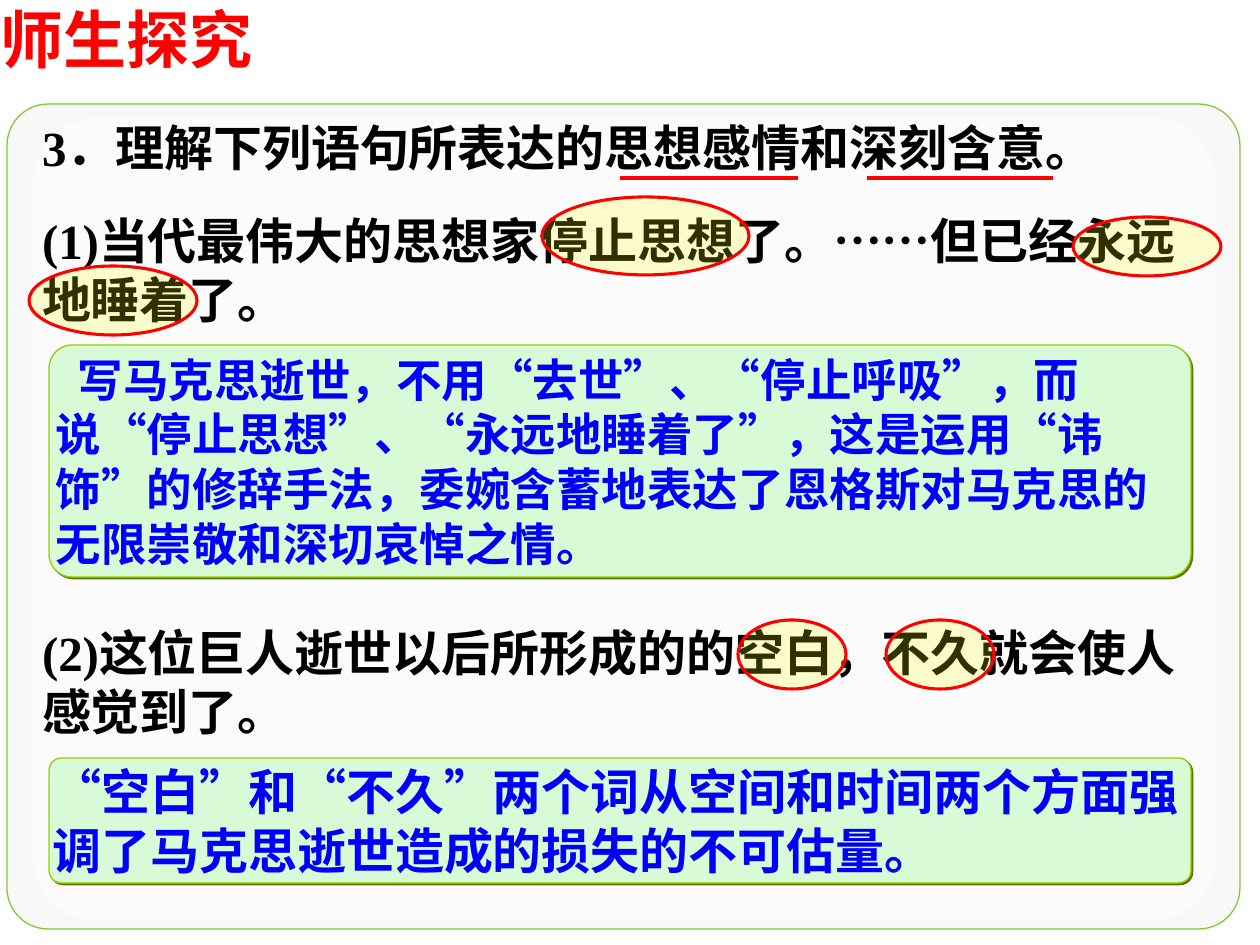
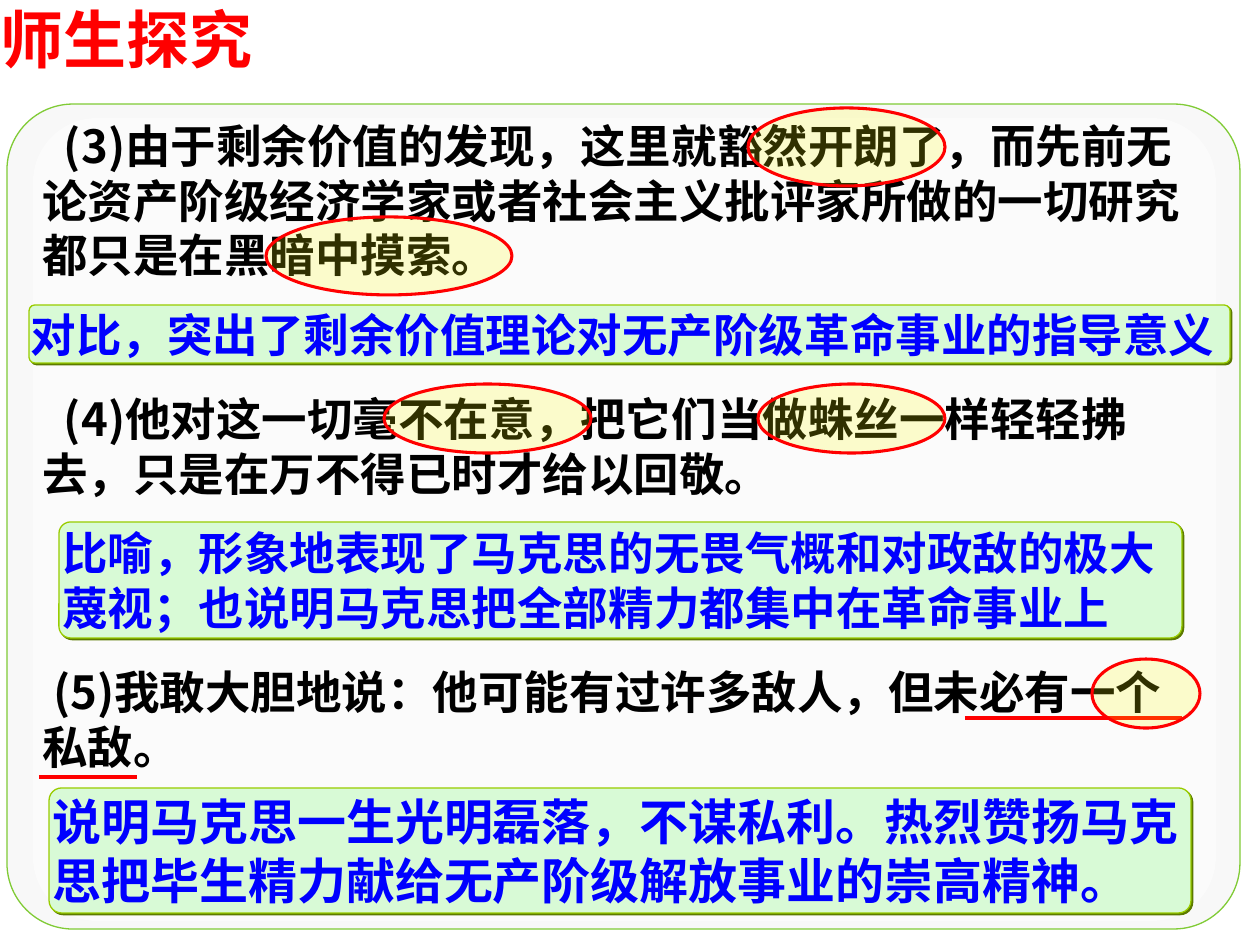
from dataclasses import dataclass

from lxml import etree
from pptx import Presentation
from pptx import util as u
from pptx.dml.color import RGBColor
from pptx.enum import lang, shapes, text
from pptx.oxml import ns

PX = u.Inches(1) / 126


@dataclass(frozen=True)
class Theme:
    """Colours, fonts and type sizes of both slides."""
    red: str = "FF0000"
    black: str = "000000"
    blue: str = "0000FF"
    panel: str = "F8F8F8"
    panel_line: str = "80CB35"
    panel_glow: str = "FFFFFF"
    answer: str = "D8FAD6"
    answer_line: str = "99CC00"
    answer_shadow: str = "5C7A00"
    text_shadow: str = "808080"
    marker: str = "FFFF00"
    sans: str = "Arial"
    serif: str = "Times New Roman"
    chinese: str = "Noto Sans CJK SC"
    title_size: int = 36
    large: int = 28
    medium: int = 26
    leading: float = 1.2


THEME = Theme()


def px(length):
    """Turn pixels into EMU."""
    return u.Emu(round(length * PX))


def apply_format(target, values):
    """Set each attribute in values on target."""
    for name, value in values.items():
        setattr(target, name, value)


def add_element(parent, tag, **attributes):
    """Append a drawing element to parent."""
    return etree.SubElement(parent, ns.qn(tag), attributes)


def add_shadow(effects, color, distance):
    """Give an effect list a sharp shadow to the lower right."""
    shadow = add_element(effects, "a:outerShdw", blurRad="0",
                         dist=str(u.Pt(distance)), dir="2700000", algn="tl")
    add_element(shadow, "a:srgbClr", val=color)


def place(shape, box):
    """Move and size a shape by its pixel box."""
    apply_format(shape, dict(zip(("left", "top", "width", "height"), map(px, box))))


def setup_frame(frame, anchor, margins=(0, 0)):
    """Set wrapping, anchor and the side and end margins of a text frame."""
    side, end = map(px, margins)
    apply_format(frame, {
        "word_wrap": True, "auto_size": text.MSO_AUTO_SIZE.NONE,
        "vertical_anchor": anchor, "margin_left": side, "margin_right": side,
        "margin_top": end, "margin_bottom": end})


def write_paragraph(paragraph, runs, size, color, indent=0, gap=0, shadow=False):
    """Write (text, font) runs as one bold paragraph with fixed leading."""
    properties = paragraph._p.get_or_add_pPr()
    for name, value in {"marL": 0, "indent": px(indent), "hangingPunct": 0}.items():
        properties.set(name, str(value))
    add_element(properties, "a:buNone")
    apply_format(paragraph, {
        "alignment": text.PP_ALIGN.LEFT, "line_spacing": u.Pt(size * THEME.leading),
        "space_before": px(gap), "space_after": u.Pt(0)})
    for content, font in runs:
        run = paragraph.add_run()
        run.text = content
        apply_format(run.font, {"name": font, "size": u.Pt(size), "bold": True,
                                "language_id": lang.MSO_LANGUAGE_ID.SIMPLIFIED_CHINESE})
        run.font.color.rgb = RGBColor.from_string(color)
        run_properties = run._r.get_or_add_rPr()
        east_asian = etree.Element(ns.qn("a:ea"), typeface=THEME.chinese)
        run_properties.find(ns.qn("a:latin")).addnext(east_asian)
        if shadow:
            effects = etree.Element(ns.qn("a:effectLst"))
            run_properties.find(ns.qn("a:solidFill")).addnext(effects)
            add_shadow(effects, THEME.text_shadow, 2)


def add_preset(collection, kind, box, fill, line=None, width=0.75, opacity=100,
               corner=None):
    """Add a filled preset shape."""
    shape = collection.add_shape(kind, *map(px, box))
    shape.shadow.inherit = False
    shape.fill.solid()
    shape.fill.fore_color.rgb = RGBColor.from_string(fill)
    if opacity < 100:
        color = shape._element.spPr.find(".//" + ns.qn("a:srgbClr"))
        add_element(color, "a:alpha", val=str(opacity * 1000))
    if line:
        shape.line.color.rgb = RGBColor.from_string(line)
        shape.line.width = u.Pt(width)
    else:
        shape.line.fill.background()
    if corner is not None:
        shape.adjustments[0] = corner
    return shape


def add_panel(slide, corner):
    """Put the rounded backdrop behind everything on the slide."""
    group = slide.shapes.add_group_shape()
    rounded = shapes.MSO_SHAPE.ROUNDED_RECTANGLE
    add_preset(group.shapes, rounded, (7, 104, 1233, 825), THEME.panel,
               THEME.panel_line, corner=corner)
    add_preset(group.shapes, rounded, (33, 118, 1183, 803), THEME.panel_glow,
               opacity=50, corner=0.08)
    slide.shapes._spTree.insert(2, group._element)


def add_question_slide(presentation, corner, statements, size, height):
    """Add a slide with the shared title, panel and a list of statements."""
    slide = presentation.slides.add_slide(presentation.slide_layouts[1])
    title, body = slide.placeholders
    place(title, (0, 0, 422, 76))
    setup_frame(title.text_frame, text.MSO_ANCHOR.TOP)
    write_paragraph(title.text_frame.paragraphs[0], [("师生探究", THEME.sans)],
                    THEME.title_size, THEME.red, shadow=True)
    place(body, (29, 112, 1191, height))
    frame = body.text_frame
    setup_frame(frame, text.MSO_ANCHOR.TOP, (13, 6))
    for number, (runs, indent, gap) in enumerate(statements):
        paragraph = frame.add_paragraph() if number else frame.paragraphs[0]
        write_paragraph(paragraph, runs, size, THEME.black, indent, gap, shadow=True)
    add_panel(slide, corner)
    return slide


def add_answer(slide, box, content, size, font, indent=0):
    """Add a green answer box with blue text."""
    shape = add_preset(slide.shapes, shapes.MSO_SHAPE.ROUNDED_RECTANGLE, box,
                       THEME.answer, THEME.answer_line, corner=0.1)
    add_shadow(shape._element.spPr.find(ns.qn("a:effectLst")), THEME.answer_shadow, 1.4)
    setup_frame(shape.text_frame, text.MSO_ANCHOR.MIDDLE)
    write_paragraph(shape.text_frame.paragraphs[0], [(content, font)], size,
                    THEME.blue, indent)


def add_markers(slide, boxes):
    """Circle key words with see-through yellow ellipses."""
    for box in boxes:
        add_preset(slide.shapes, shapes.MSO_SHAPE.OVAL, box, THEME.marker,
                   THEME.red, width=1.75, opacity=19)


def add_underlines(slide, spans):
    """Draw red lines given as (left, right, y)."""
    for left, right, y in spans:
        line = slide.shapes.add_connector(shapes.MSO_CONNECTOR.STRAIGHT,
                                          *map(px, (left, y, right, y)))
        line.line.color.rgb = RGBColor.from_string(THEME.red)
        line.line.width = u.Pt(2)
        add_element(line._element.spPr, "a:effectLst")


def build_euphemism_slide(presentation):
    """Build statements 1 and 2."""
    serif, chinese = THEME.serif, THEME.chinese
    statements = [
        ([("3．理解下列语句所表达的思想感情和深刻含意。", serif)], 0, 0),
        ([("(1)当代最伟大的思想家停止思想了。", serif), ("……", chinese),
          ("但已经永远地睡着了。", serif)], 0, 34),
        ([("(2)这位巨人逝世以后所形成的的空白，不久就会使人感觉到了。", serif)], 0, 294)]
    slide = add_question_slide(presentation, 0.05, statements, THEME.large, 811)
    add_underlines(slide, [(620, 798, 178), (867, 1053, 178)])
    add_markers(slide, [(542, 197, 207, 78), (1073, 217, 148, 59), (29, 266, 168, 69),
                        (738, 620, 108, 69), (886, 620, 108, 69)])
    add_answer(slide, (49, 345, 1142, 232),
               "写马克思逝世，不用“去世”、“停止呼吸”，而说“停止思想”、“永远地睡着了”，"
               "这是运用“讳饰”的修辞手法，委婉含蓄地表达了恩格斯对马克思的无限崇敬和深切哀悼之情。",
               THEME.medium, chinese, indent=22)
    add_answer(slide, (49, 758, 1142, 125),
               "“空白”和“不久”两个词从空间和时间两个方面强调了马克思逝世造成的损失的不可估量。",
               THEME.large, chinese)


def build_contrast_slide(presentation):
    """Build statements 3 to 5."""
    chinese, sans = THEME.chinese, THEME.sans
    statements = [
        ([("(3)由于剩余价值的发现，这里就豁然开朗了，而先前无论资产阶级经济学家或者"
           "社会主义批评家所做的一切研究都只是在黑暗中摸索。", chinese)], 22, 0),
        ([("(4)他对这一切毫不在意，把它们当做蛛丝一样轻轻拂去，"
           "只是在万不得已时才给以回敬。", chinese)], 22, 109),
        ([("(5)我敢大胆地说：他可能有过许多敌人，但未必有一个私敌。", chinese)], 11, 164)]
    slide = add_question_slide(presentation, 0.08, statements, THEME.medium, 668)
    add_markers(slide, [(748, 108, 197, 78), (266, 217, 246, 78),
                        (384, 384, 207, 69), (758, 384, 187, 69)])
    add_underlines(slide, [(965, 1182, 718), (39, 137, 777)])
    add_markers(slide, [(1092, 659, 108, 69)])
    add_answer(slide, (29, 305, 1201, 58),
               "对比，突出了剩余价值理论对无产阶级革命事业的指导意义", THEME.medium, sans)
    add_answer(slide, (59, 522, 1123, 116),
               "比喻，形象地表现了马克思的无畏气概和对政敌的极大蔑视；"
               "也说明马克思把全部精力都集中在革命事业上", THEME.medium, sans)
    add_answer(slide, (49, 788, 1142, 125),
               "说明马克思一生光明磊落，不谋私利。热烈赞扬马克思把毕生精力献给"
               "无产阶级解放事业的崇高精神。", THEME.large, sans)


def main():
    """Build and save both slides."""
    presentation = Presentation()
    apply_format(presentation, {"slide_width": px(1260), "slide_height": px(945)})
    build_euphemism_slide(presentation)
    build_contrast_slide(presentation)
    presentation.save("out.pptx")


if __name__ == "__main__":
    main()
